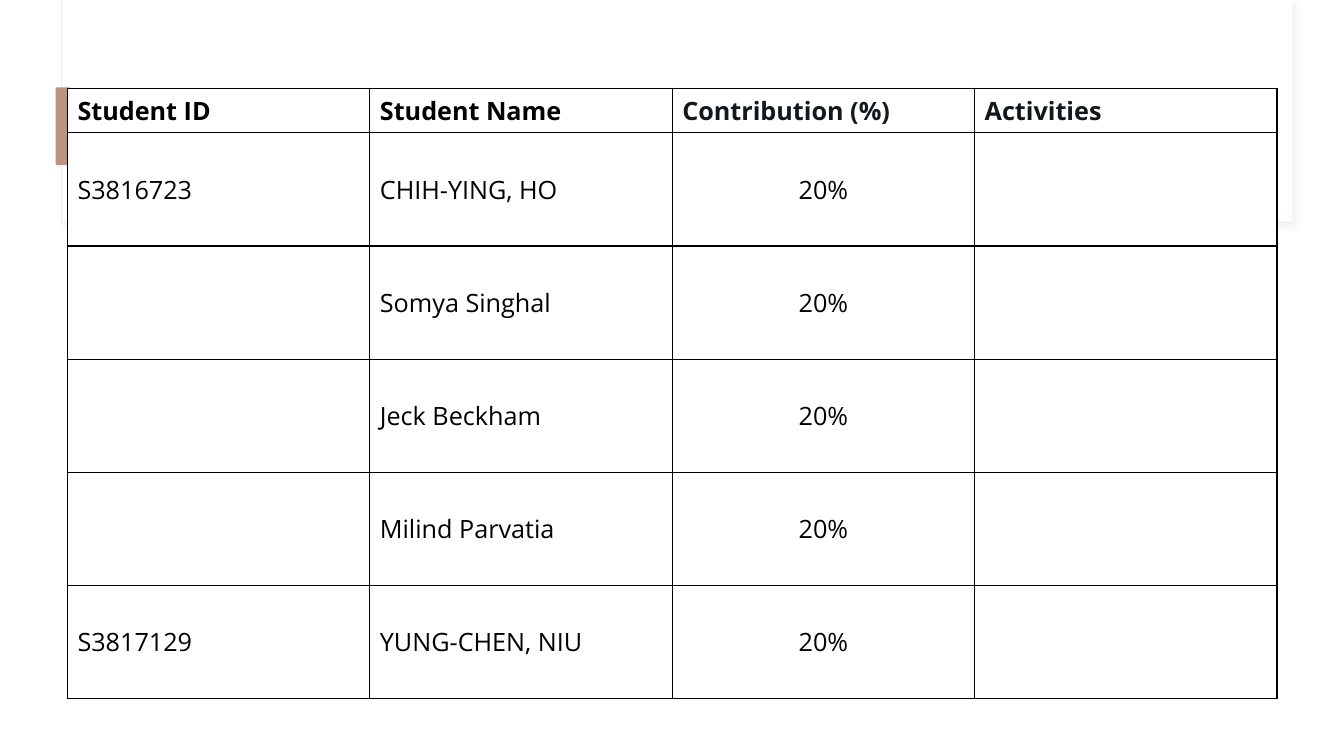
"""Build the student contribution table slide."""
from dataclasses import dataclass
from typing import Optional

from lxml import etree
from pptx import Presentation
from pptx.dml.color import RGBColor
from pptx.enum.shapes import MSO_SHAPE
from pptx.enum.text import MSO_ANCHOR, PP_ALIGN
from pptx.oxml import parse_xml
from pptx.oxml.ns import nsdecls, qn
from pptx.util import Cm, Pt

RECTANGLE = MSO_SHAPE.RECTANGLE
MIDDLE = MSO_ANCHOR.MIDDLE
LEFT, CENTER = PP_ALIGN.LEFT, PP_ALIGN.CENTER

WHITE = RGBColor(0xFF, 0xFF, 0xFF)
BLACK = RGBColor(0x00, 0x00, 0x00)
CHARCOAL = RGBColor(0x14, 0x18, 0x1A)
CREAM = RGBColor(0xF0, 0xE9, 0xE5)
TAN = RGBColor(0xBA, 0x94, 0x7F)
SHADOW_GREY = RGBColor(0xD9, 0xD9, 0xD9)

FONT_NAME = "Open Sans"
FONT_SIZE = Pt(18)
HEADER_HEIGHT = Cm(1.13)
STUDENT_HEIGHT = Cm(2.85)
BORDER_SIDES = ("lnL", "lnR", "lnT", "lnB")


@dataclass(frozen=True)
class Panel:
    """A background rectangle, measured in centimetres."""
    left: float
    top: float
    width: float
    height: float
    fill: RGBColor
    line: Optional[RGBColor] = None
    shadow: Optional[RGBColor] = None


@dataclass(frozen=True)
class Column:
    """A table column with its heading and text style."""
    heading: str
    heading_color: RGBColor = BLACK
    alignment: PP_ALIGN = LEFT


@dataclass(frozen=True)
class Student:
    """One student's row."""
    name: str
    student_id: str = ""
    contribution: str = "20%"
    activities: str = ""


PANELS = (
    Panel(1.55, 0, 31.01, 5.61, WHITE, line=CREAM, shadow=SHADOW_GREY),
    Panel(1.57, 0, 30.99, 5.59, WHITE),
    Panel(1.4, 2.2, 0.36, 1.96, TAN),
)
COLUMNS = (
    Column("Student ID"),
    Column("Student Name"),
    Column("Contribution (%)", CHARCOAL, CENTER),
    Column("Activities", CHARCOAL),
)
STUDENTS = (
    Student("CHIH-YING, HO", "S3816723"),
    Student("Somya Singhal"),
    Student("Jeck Beckham"),
    Student("Milind Parvatia"),
    Student("YUNG-CHEN, NIU", "S3817129"),
)


def add_shadow(shape, color: RGBColor) -> None:
    """Give a shape a soft shadow towards the lower right."""
    effects = shape._element.spPr.find(qn("a:effectLst"))
    shadow = etree.SubElement(
        effects, qn("a:outerShdw"), blurRad=str(Pt(4)), dist=str(Pt(3)),
        dir=str(45 * 60000), algn="tl", rotWithShape="0")
    shade = etree.SubElement(shadow, qn("a:srgbClr"), val=str(color))
    etree.SubElement(shade, qn("a:alpha"), val="30000")


def add_panel(slide, panel: Panel) -> None:
    """Draw one background rectangle."""
    shape = slide.shapes.add_shape(
        RECTANGLE, Cm(panel.left), Cm(panel.top), Cm(panel.width), Cm(panel.height))
    shape.shadow.inherit = False
    shape.fill.solid()
    shape.fill.fore_color.rgb = panel.fill
    if panel.line is None:
        shape.line.fill.background()
    else:
        shape.line.color.rgb = panel.line
        shape.line.width = Pt(0.75)
    if panel.shadow is not None:
        add_shadow(shape, panel.shadow)


def add_borders(cell) -> None:
    """Outline a cell on all four sides."""
    properties = cell._tc.get_or_add_tcPr()
    for position, side in enumerate(BORDER_SIDES):
        properties.insert(position, parse_xml(
            f'<a:{side} {nsdecls("a")} w="{Pt(1)}"><a:solidFill>'
            f'<a:srgbClr val="{BLACK}"/></a:solidFill></a:{side}>'))


def fill_cell(cell, text: str, color: RGBColor, alignment: PP_ALIGN, bold: bool) -> None:
    """Write and style one table cell."""
    cell.fill.solid()
    cell.fill.fore_color.rgb = WHITE
    add_borders(cell)
    cell.vertical_anchor = MIDDLE
    cell.text_frame.text = text
    paragraph = cell.text_frame.paragraphs[0]
    paragraph.alignment = alignment
    for run in paragraph.runs:
        run.font.name = FONT_NAME
        run.font.size = FONT_SIZE
        run.font.bold = bold
        run.font.color.rgb = color


def add_student_table(slide) -> None:
    """Draw the table of students and contributions."""
    height = HEADER_HEIGHT + STUDENT_HEIGHT * len(STUDENTS)
    table = slide.shapes.add_table(
        len(STUDENTS) + 1, len(COLUMNS), Cm(1.7), Cm(2.22), Cm(30.48), height).table
    table.rows[0].height = HEADER_HEIGHT
    for index, column in enumerate(COLUMNS):
        fill_cell(table.cell(0, index), column.heading, column.heading_color, LEFT, True)
    for row, student in enumerate(STUDENTS, start=1):
        table.rows[row].height = STUDENT_HEIGHT
        values = (student.student_id, student.name, student.contribution, student.activities)
        for index, (column, value) in enumerate(zip(COLUMNS, values)):
            fill_cell(table.cell(row, index), value, BLACK, column.alignment, False)


def main() -> None:
    """Build and save the presentation."""
    presentation = Presentation()
    presentation.slide_width = Cm(33.87)
    presentation.slide_height = Cm(19.05)
    slide = presentation.slides.add_slide(presentation.slide_layouts[6])
    for panel in PANELS:
        add_panel(slide, panel)
    add_student_table(slide)
    presentation.save("out.pptx")


main()
